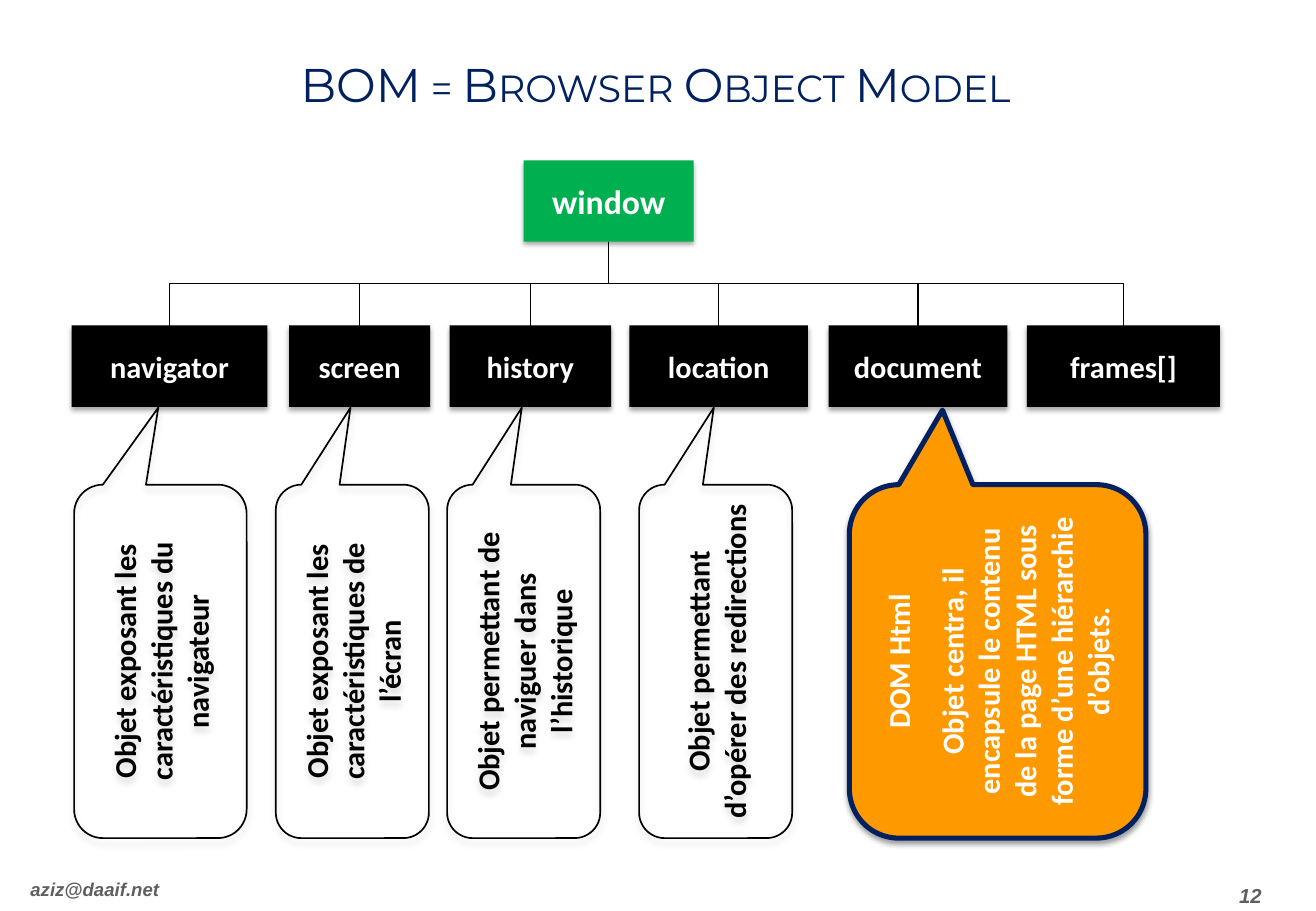
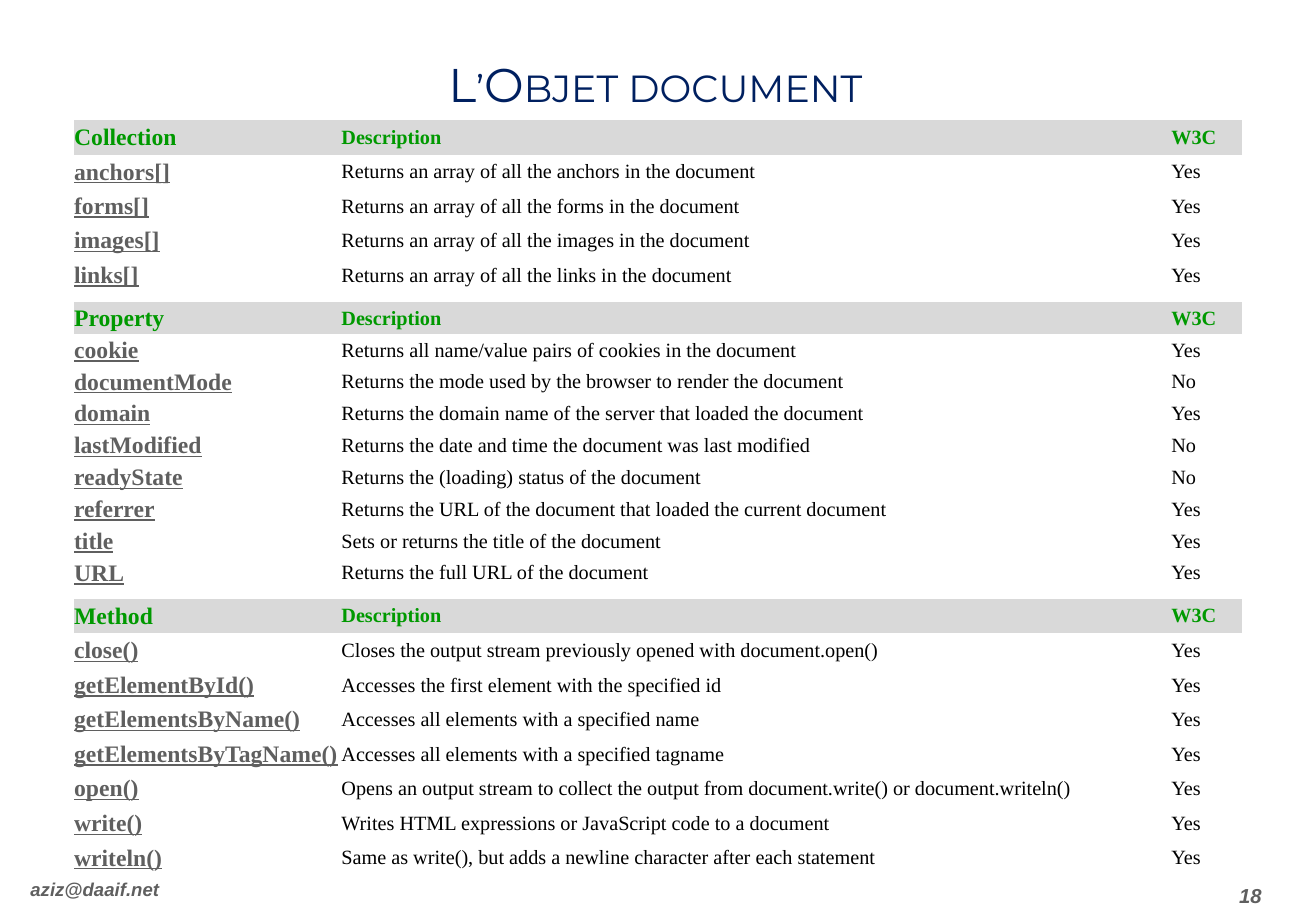
from lxml import etree
from pptx import Presentation
from pptx.dml.color import RGBColor
from pptx.enum import shapes, text
from pptx.oxml.ns import qn
from pptx.util import Inches, Pt

COLOURS = {
    "navy": "002060", "grey": "5F5F5F", "black": "000000", "white": "FFFFFF",
    "green": "00B050", "orange": "FF9900", "heading": "009900", "band": "D9D9D9",
}
PLAIN_TABLE = "{2D5ABB26-0587-4C30-8999-92F81FD0307C}"


def write(frame, words, font, size, colour, align=text.PP_ALIGN.LEFT,
          bold=False, italic=False, underline=False, after=0):
    """Fill a text frame and give all its runs one look."""
    frame.text = words
    frame.word_wrap = True
    frame.vertical_anchor = text.MSO_ANCHOR.MIDDLE
    for para in frame.paragraphs:
        para.alignment = align
        para.space_after = Pt(after)
        for span in para.runs:
            span.font.name = font
            span.font.size = Pt(size)
            span.font.bold = bold
            span.font.italic = italic
            span.font.underline = underline
            span.font.color.rgb = RGBColor.from_string(COLOURS[colour])


def set_shadow(item, alpha=None, blur=0, distance=0):
    """Give a shape a soft shadow straight below it, or none at all."""
    effects = etree.SubElement(item._element.spPr, qn("a:effectLst"))
    if alpha:
        outer = etree.SubElement(effects, qn("a:outerShdw"), blurRad=str(Pt(blur)),
                                 dist=str(Pt(distance)), dir="5400000", rotWithShape="0")
        black = etree.SubElement(outer, qn("a:srgbClr"), val=COLOURS["black"])
        etree.SubElement(black, qn("a:alpha"), val=str(alpha * 1000))


deck = Presentation()
deck.slide_width, deck.slide_height = Inches(10.83), Inches(7.5)
title_only = deck.slide_layouts[5]
CENTER = text.PP_ALIGN.CENTER

# Shared title and footer
pages = []
for heading, number in [("BOM = Browser Object Model", "12"), ("L’Objet document", "18")]:
    page = deck.slides.add_slide(title_only)
    title = page.shapes.title
    title.left, title.top = Inches(0.38), Inches(0.36)
    title.width, title.height = Inches(10.03), Inches(0.75)
    write(title.text_frame, heading, "Montserrat", 28, "navy", CENTER)
    title.text_frame.auto_size = text.MSO_AUTO_SIZE.NONE
    title_para = title.text_frame.paragraphs[0]
    title_para.line_spacing = 0.8
    title_para.runs[0].font._element.set("cap", "small")

    contact = page.shapes.add_textbox(0, Inches(7.14), Inches(2.82), Inches(0.36))
    write(contact.text_frame, "aziz@daaif.net", "Arial", 11, "grey", bold=True, italic=True)
    contact.text_frame.margin_left = Inches(0.25)
    counter = page.shapes.add_textbox(Inches(9.74), Inches(7.24), Inches(1.1), Inches(0.26))
    write(counter.text_frame, number, "Arial", 12, "grey", CENTER, bold=True, italic=True)
    pages.append(page)
bom_page, document_page = pages

# Object tree: root first, then its children
BOX_HEIGHT = 0.67
nodes = []
for name, left, top, width, colour, size in [
    ("window", 4.31, 1.32, 1.4, "green", 20),
    ("navigator", 0.59, 2.68, 1.61, "black", 18),
    ("screen", 2.38, 2.68, 1.16, "black", 18),
    ("history", 3.7, 2.68, 1.33, "black", 18),
    ("location", 5.18, 2.68, 1.47, "black", 18),
    ("document", 6.82, 2.68, 1.47, "black", 18),
    ("frames[]", 8.45, 2.68, 1.59, "black", 18),
]:
    box = bom_page.shapes.add_shape(shapes.MSO_SHAPE.RECTANGLE, Inches(left), Inches(top),
                                    Inches(width), Inches(BOX_HEIGHT))
    box.fill.solid()
    box.fill.fore_color.rgb = RGBColor.from_string(COLOURS[colour])
    box.line.fill.background()
    set_shadow(box, 35, 3.1, 1.8)
    write(box.text_frame, name, "Calibri", size, "white", CENTER, bold=True, after=10)
    nodes.append(box)

# Elbow links from the root to each child
root, *children = nodes
start_x, start_y = root.left + root.width // 2, root.top + root.height
for child in children:
    end_x = child.left + child.width // 2
    link = bom_page.shapes.add_connector(shapes.MSO_CONNECTOR.ELBOW,
                                         start_x, start_y, end_x, child.top)
    link.begin_connect(root, 2)
    link.end_connect(child, 0)
    link.line.color.rgb = RGBColor.from_string(COLOURS["black"])
    link.line.width = Pt(0.75)
    set_shadow(link)
    # A quarter turn makes the elbow leave the root downwards
    drop, reach = child.top - start_y, abs(end_x - start_x)
    link.left = (start_x + end_x - drop) // 2
    link.top = (start_y + child.top - reach) // 2
    link.width, link.height = drop, reach
    frame = link._element.spPr.find(qn("a:xfrm"))
    frame.attrib.pop("flipH", None)
    frame.set("rot", "5400000")
    if end_x > start_x:
        frame.set("rot", "16200000")
        frame.set("flipH", "1")

# Callouts with upright text
plain = dict(fill=None, line="black", weight=1, ink="black", tip=(-0.012, -0.718),
             shadow=(14, 4, 3))
strong = dict(fill="orange", line="navy", weight=3, ink="white", tip=(-0.186, -0.711),
              shadow=(38, 3.1, 1.6))
for left, width, look, words in [
    (0.61, 1.42, plain, "Objet exposant les caractéristiques du navigateur"),
    (2.27, 1.26, plain, "Objet exposant les caractéristiques de l’écran"),
    (3.68, 1.26, plain, "Objet permettant de naviguer dans l’historique"),
    (5.26, 1.26, plain, "Objet permettant d’opérer des redirections"),
    (6.99, 2.44, strong, "DOM Html\nObjet centra, il encapsule le contenu de la page HTML "
                         "sous forme d’une hiérarchie d’objets."),
]:
    callout = bom_page.shapes.add_shape(shapes.MSO_SHAPE.ROUNDED_RECTANGULAR_CALLOUT,
                                        Inches(left), Inches(3.99), Inches(width), Inches(2.91))
    callout.adjustments[0], callout.adjustments[1] = look["tip"]
    if look["fill"]:
        callout.fill.solid()
        callout.fill.fore_color.rgb = RGBColor.from_string(COLOURS[look["fill"]])
    else:
        callout.fill.background()
    callout.line.color.rgb = RGBColor.from_string(COLOURS[look["line"]])
    callout.line.width = Pt(look["weight"])
    set_shadow(callout, *look["shadow"])
    write(callout.text_frame, words, "Calibri", 18, look["ink"], CENTER, bold=True, after=10)
    callout.text_frame._txBody.bodyPr.set("vert", "vert270")

# Reference tables of the document object
collections = [
    ("Collection", "Description", "W3C"),
    ("anchors[]", "Returns an array of all the anchors in the document", "Yes"),
    ("forms[]", "Returns an array of all the forms in the document", "Yes"),
    ("images[]", "Returns an array of all the images in the document", "Yes"),
    ("links[]", "Returns an array of all the links in the document", "Yes"),
]
properties = [
    ("Property", "Description", "W3C"),
    ("cookie", "Returns all name/value pairs of cookies in the document", "Yes"),
    ("documentMode", "Returns the mode used by the browser to render the document", "No"),
    ("domain", "Returns the domain name of the server that loaded the document", "Yes"),
    ("lastModified", "Returns the date and time the document was last modified", "No"),
    ("readyState", "Returns the (loading) status of the document", "No"),
    ("referrer", "Returns the URL of the document that loaded the current document", "Yes"),
    ("title", "Sets or returns the title of the document", "Yes"),
    ("URL", "Returns the full URL of the document", "Yes"),
]
methods = [
    ("Method", "Description", "W3C"),
    ("close()", "Closes the output stream previously opened with document.open()", "Yes"),
    ("getElementById()", "Accesses the first element with the specified id", "Yes"),
    ("getElementsByName()", "Accesses all elements with a specified name", "Yes"),
    ("getElementsByTagName()", "Accesses all elements with a specified tagname", "Yes"),
    ("open()", "Opens an output stream to collect the output from document.write() "
               "or document.writeln()", "Yes"),
    ("write()", "Writes HTML expressions or JavaScript code to a document", "Yes"),
    ("writeln()", "Same as write(), but adds a newline character after each statement", "Yes"),
]
for top, height, rows in [(0.99, 1.42, collections), (2.49, 2.36, properties),
                          (4.93, 2.28, methods)]:
    table = document_page.shapes.add_table(len(rows), 3, Inches(0.61), Inches(top),
                                           Inches(9.61), Inches(height)).table
    table._tbl.tblPr.find(qn("a:tableStyleId")).text = PLAIN_TABLE
    table.horz_banding = False
    for column, width in zip(table.columns, (2.2, 6.83, 0.58)):
        column.width = Inches(width)
    for row_index, row in enumerate(rows):
        for column_index, words in enumerate(row):
            cell = table.cell(row_index, column_index)
            is_header, is_name = row_index == 0, column_index == 0
            colour = "heading" if is_header else "grey" if is_name else "black"
            write(cell.text_frame, words, "Times New Roman", 14 if is_name else 12, colour,
                  bold=is_header or is_name, underline=is_name and not is_header)
            cell.vertical_anchor = text.MSO_ANCHOR.MIDDLE
            cell.margin_left = cell.margin_right = cell.margin_top = cell.margin_bottom = 0
            if is_header:
                cell.fill.solid()
                cell.fill.fore_color.rgb = RGBColor.from_string(COLOURS["band"])
            else:
                cell.fill.background()

deck.save("out.pptx")
